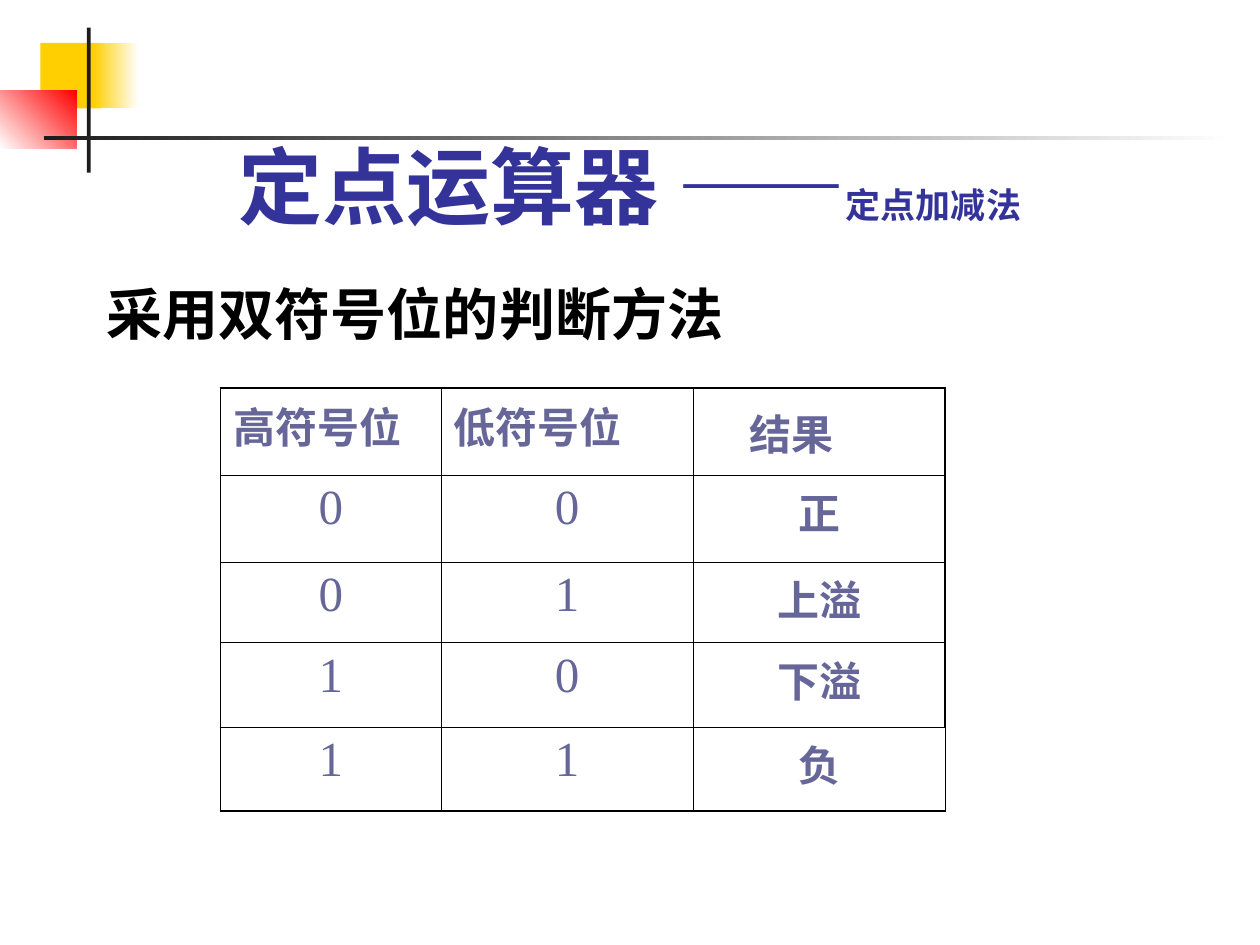
from dataclasses import dataclass

from lxml.etree import SubElement
from pptx import Presentation
from pptx.dml.color import RGBColor
from pptx.enum.shapes import MSO_SHAPE
from pptx.enum.text import MSO_ANCHOR, MSO_AUTO_SIZE, PP_ALIGN
from pptx.oxml.ns import qn
from pptx.util import Inches, Pt

COLORS = {
    "yellow": "FFCF01",
    "red": "FF0000",
    "white": "FFFFFF",
    "charcoal": "1C1C1C",
    "title": "333399",
    "black": "000000",
    "table": "666699",
}
HEADING_FONT = "Karla"
TABLE_FONT = "Times New Roman"
THIN, THICK = 0.45, 1.08


@dataclass(frozen=True)
class Block:
    left: float
    top: float
    width: float
    height: float
    color: str
    end_color: str | None = None
    angle: int = 0


BLOCKS = [
    Block(0.32, 0.34, 0.48, 0.52, "yellow"),
    Block(0.74, 0.34, 0.36, 0.52, "yellow", "white"),
    Block(0, 0.72, 0.61, 0.46, "white", "red", 45),
    Block(0.69, 0.22, 0.03, 1.15, "charcoal"),
    Block(0.35, 1.08, 9.45, 0.03, "charcoal", "white"),
]
COLUMN_WIDTHS = [1.75, 2, 2]
ROW_HEIGHTS = [0.69, 0.69, 0.64, 0.67, 0.67]
ROWS = [
    ["高符号位", "低符号位", "结果"],
    ["0", "0", "正"],
    ["0", "1", "上溢"],
    ["1", "0", "下溢"],
    ["1", "1", "负"],
]


def rgb(name: str) -> RGBColor:
    return RGBColor.from_string(COLORS[name])


def add_block(page, block: Block) -> None:
    shape = page.shapes.add_shape(
        MSO_SHAPE.RECTANGLE, Inches(block.left), Inches(block.top),
        Inches(block.width), Inches(block.height))
    shape.shadow.inherit = False
    shape.line.fill.background()
    if block.end_color is None:
        shape.fill.solid()
        shape.fill.fore_color.rgb = rgb(block.color)
        return
    shape.fill.gradient()
    shape.fill.gradient_angle = block.angle
    for stop, position, color in zip(
            shape.fill.gradient_stops, (0, 1), (block.color, block.end_color)):
        stop.position = position
        stop.color.rgb = rgb(color)


def add_span(para, text: str, size: int, font: str, color: str,
             bold: bool = True) -> None:
    span = para.add_run()
    span.text = text
    span.font.size = Pt(size)
    span.font.name = font
    span.font.bold = bold
    span.font.color.rgb = rgb(color)


def add_title(page) -> None:
    title = page.shapes.title
    title.left, title.top = Inches(0.75), Inches(1)
    title.width, title.height = Inches(8.5), Inches(0.92)
    frame = title.text_frame
    frame.auto_size = MSO_AUTO_SIZE.NONE
    frame.vertical_anchor = MSO_ANCHOR.BOTTOM
    para = frame.paragraphs[0]
    para.alignment = PP_ALIGN.CENTER
    add_span(para, "定点运算器 ——", 48, HEADING_FONT, "title")
    add_span(para, "定点加减法", 20, HEADING_FONT, "title")


def add_subtitle(page) -> None:
    box = page.shapes.add_textbox(
        Inches(0.75), Inches(2.17), Inches(8.5), Inches(0.71))
    box.text_frame.word_wrap = True
    para = box.text_frame.paragraphs[0]
    para.alignment = PP_ALIGN.JUSTIFY
    add_span(para, "采用双符号位的判断方法", 32, HEADING_FONT, "black")


def set_borders(cell, left: float, right: float, top: float,
                bottom: float) -> None:
    """Draw the four sides, widths in points; call before setting the fill."""
    properties = cell._tc.get_or_add_tcPr()
    for side, width in zip("LRTB", (left, right, top, bottom)):
        line = SubElement(properties, qn(f"a:ln{side}"), w=str(int(Pt(width))))
        fill = SubElement(line, qn("a:solidFill"))
        SubElement(fill, qn("a:srgbClr"), val=COLORS["black"])


def fill_cell(cell, text: str, row: int, column: int) -> None:
    last_row, last_column = len(ROWS) - 1, len(COLUMN_WIDTHS) - 1
    set_borders(
        cell,
        left=THICK if column == 0 else THIN,
        right=THICK if column == last_column and row < last_row else THIN,
        top=THICK if row == 0 else THIN,
        bottom=THICK if row == last_row else THIN)
    cell.fill.background()
    para = cell.text_frame.paragraphs[0]
    para.alignment = PP_ALIGN.LEFT if row == 0 else PP_ALIGN.CENTER
    if row == 0 and column == last_column:
        cell.margin_left, cell.margin_top = Inches(0.45), Inches(0.11)
    digit = text.isdigit()
    add_span(para, text, 28 if digit else 24, TABLE_FONT, "table", not digit)


def add_sign_table(page) -> None:
    table = page.shapes.add_table(
        len(ROWS), len(COLUMN_WIDTHS), Inches(1.75), Inches(3.08),
        Inches(sum(COLUMN_WIDTHS)), Inches(sum(ROW_HEIGHTS))).table
    table.first_row = table.horz_banding = False
    for column, width in zip(table.columns, COLUMN_WIDTHS):
        column.width = Inches(width)
    for row, height in zip(table.rows, ROW_HEIGHTS):
        row.height = Inches(height)
    for r, texts in enumerate(ROWS):
        for c, text in enumerate(texts):
            fill_cell(table.cell(r, c), text, r, c)


def main() -> None:
    deck = Presentation()
    deck.slide_width, deck.slide_height = Inches(10), Inches(7.5)
    page = deck.slides.add_slide(deck.slide_layouts.get_by_name("Title Only"))
    for block in BLOCKS:
        add_block(page, block)
    add_title(page)
    add_subtitle(page)
    add_sign_table(page)
    deck.save("out.pptx")


if __name__ == "__main__":
    main()
